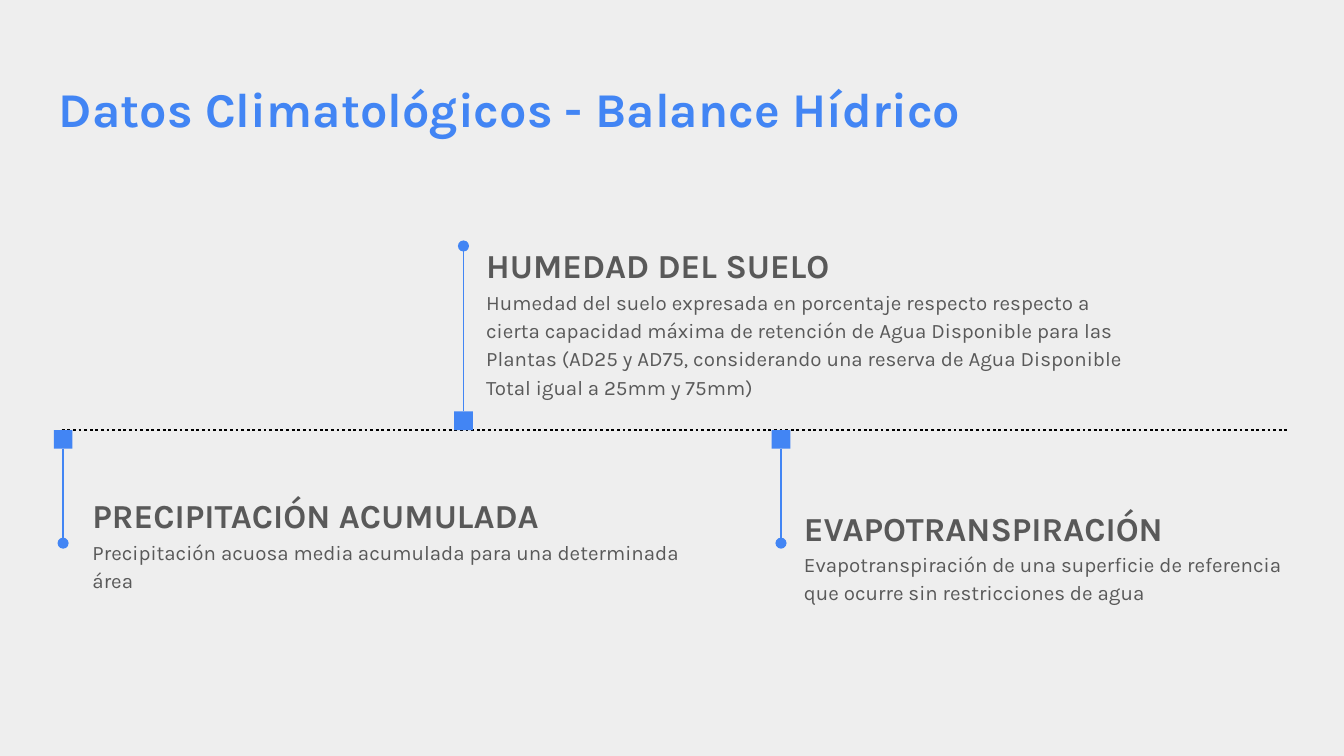
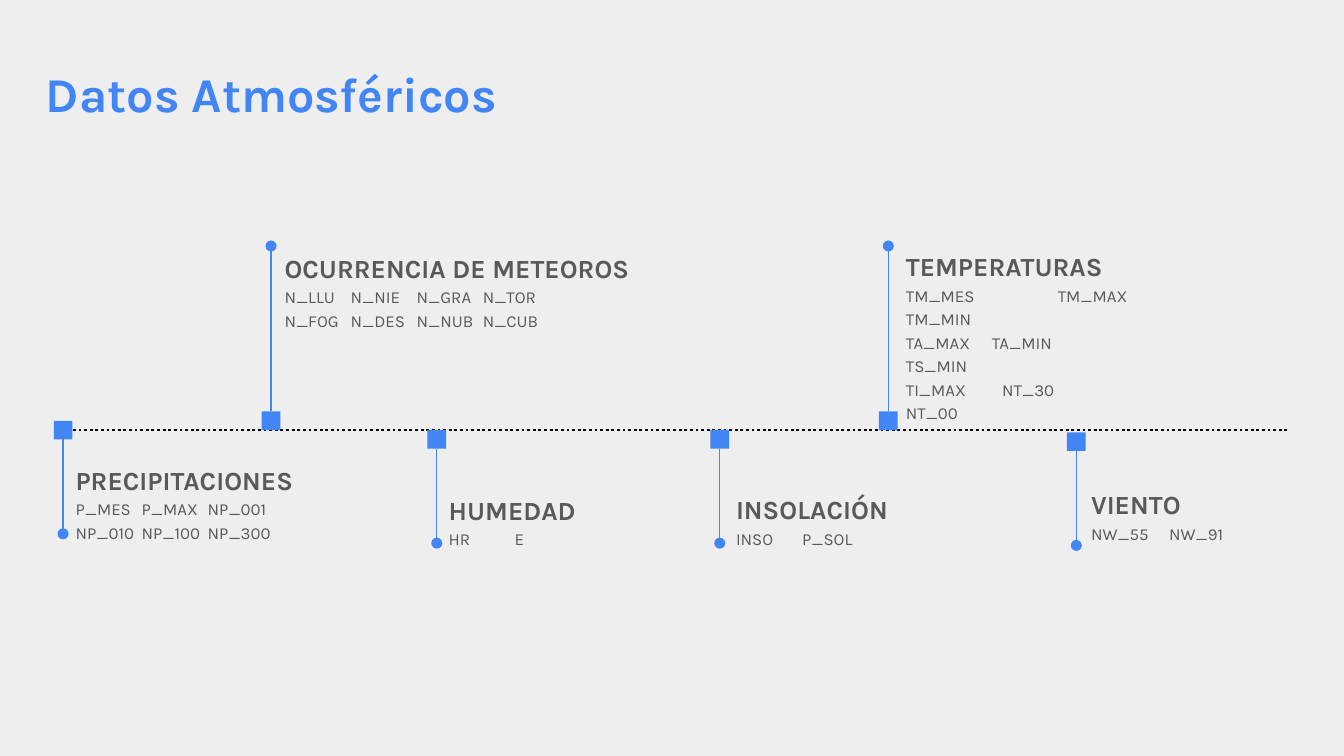
import pptx
import pptx.dml.color
import pptx.enum.dml
import pptx.enum.shapes
import pptx.enum.text
import pptx.oxml.ns
import pptx.util
from lxml import etree

Pt = pptx.util.Pt
FONT = "Karla"
BLUE, GREY, BLACK, BACKGROUND = "4285F4", "595959", "000000", "EEEEEE"
AXIS_Y = 230.4
AXIS_LEFT, AXIS_RIGHT = 33.1, 689.8
SQUARE = 10
STEM_DOWN, STEM_UP = 50.6, 88.6
TAB_STEP = 35.4
TABS = [TAB_STEP * step for step in range(1, 8)]


def color(hex_value):
    return pptx.dml.color.RGBColor.from_string(hex_value)


def add_text(page, frame, paragraphs, margins, spacing):
    """Each paragraph is (text, size, colour, bold, tab stops)."""
    box = page.shapes.add_textbox(*[Pt(length) for length in frame])
    text = box.text_frame
    text.word_wrap = True
    text.vertical_anchor = pptx.enum.text.MSO_ANCHOR.TOP
    text.margin_left = text.margin_right = Pt(margins[0])
    text.margin_top = text.margin_bottom = Pt(margins[1])
    for index, (words, size, ink, bold, stops) in enumerate(paragraphs):
        para = text.add_paragraph() if index else text.paragraphs[0]
        para.line_spacing = spacing
        para.space_before = para.space_after = Pt(0.1)
        if "\t" in words:
            tab_list = etree.SubElement(para._p.get_or_add_pPr(), pptx.oxml.ns.qn("a:tabLst"))
            for stop in stops:
                etree.SubElement(tab_list, pptx.oxml.ns.qn("a:tab"), pos=str(Pt(stop)), algn="l")
        span = para.add_run()
        span.text = words
        span.font.name = FONT
        span.font.size = Pt(size)
        span.font.bold = bold
        span.font.color.rgb = color(ink)


# Title: words, height, margins, line spacing
# Marker: centre, top of square, direction
# Label: left, top, width, height, heading, lines (words, tab stops)
slides = [
    {
        "title": ("Datos Climatológicos - Balance Hídrico", 45.4, (7.2, 7.2), 1.0),
        "sizes": (18, 11),
        "markers": [(33.8, AXIS_Y, "down"), (248.3, AXIS_Y - SQUARE, "up"), (418.4, AXIS_Y, "down")],
        "labels": [
            (42.5, 254.9, 329, 95, "PRECIPITACIÓN ACUMULADA", [
                ("Precipitación acuosa media acumulada para una determinada área", TABS)]),
            (253.4, 121, 357.8, 121.7, "HUMEDAD DEL SUELO", [
                ("Humedad del suelo expresada en porcentaje respecto respecto a cierta capacidad "
                 "máxima de retención de Agua Disponible para las Plantas (AD25 y AD75, considerando "
                 "una reserva de Agua Disponible Total igual a 25mm y 75mm)", TABS)]),
            (423.6, 261.4, 272.2, 95, "EVAPOTRANSPIRACIÓN", [
                ("Evapotranspiración de una superficie de referencia que ocurre sin restricciones "
                 "de agua", TABS)]),
        ],
    },
    {
        "title": ("Datos Atmosféricos", 30.2, (0, 0.7), 0.97),
        "sizes": (14, 9),
        "markers": [
            (33.8, AXIS_Y - SQUARE / 2, "down"), (145.2, AXIS_Y - SQUARE, "up"),
            (234, AXIS_Y, "down"), (385.6, AXIS_Y, "down"),
            (475.9, AXIS_Y - SQUARE, "up"), (576.6, AXIS_Y + 1.2, "down"),
        ],
        "labels": [
            (33.4, 239, 209.5, 60.5, "PRECIPITACIONES", [
                ("P_MES\tP_MAX\tNP_001", TABS), ("NP_010\tNP_100\tNP_300", TABS)]),
            (145.4, 125.3, 205.9, 60.5, "OCURRENCIA DE METEOROS", [
                ("N_LLU\tN_NIE\tN_GRA\tN_TOR", TABS), ("N_FOG\tN_DES\tN_NUB\tN_CUB", TABS)]),
            (233.3, 254.9, 84.2, 51.1, "HUMEDAD", [("HR\tE", TABS)]),
            (387.2, 254.9, 121, 40.3, "INSOLACIÓN", [("INSO\tP_SOL", TABS)]),
            # The last stop is near the margin, so the third code wraps
            (478.2, 124.6, 142.6, 65.5, "TEMPERATURAS", [
                ("TM_MES\tTM_MAX\tTM_MIN", [81.4, 124]),
                ("TA_MAX\tTA_MIN\tTS_MIN", [46, 124]),
                ("TI_MAX\tNT_30\tNT_00", [51.6, 124])]),
            (577.4, 252, 90, 45.4, "VIENTO", [("NW_55\tNW_91", [41.8])]),
        ],
    },
]

deck = pptx.Presentation()
deck.slide_width, deck.slide_height = Pt(720), Pt(405)
straight = pptx.enum.shapes.MSO_CONNECTOR.STRAIGHT

for content in slides:
    page = deck.slides.add_slide(deck.slide_layouts[6])
    page.background.fill.solid()
    page.background.fill.fore_color.rgb = color(BACKGROUND)

    # Dotted axis
    axis = page.shapes.add_connector(straight, Pt(AXIS_LEFT), Pt(AXIS_Y), Pt(AXIS_RIGHT), Pt(AXIS_Y))
    axis.line.color.rgb = color(BLACK)
    axis.line.width = Pt(1.5)
    axis.line.dash_style = pptx.enum.dml.MSO_LINE.ROUND_DOT
    etree.SubElement(axis._element.spPr, pptx.oxml.ns.qn("a:effectLst"))

    # Title
    words, height, margins, spacing = content["title"]
    add_text(page, (24.5, 35.3, 671, height), [(words, 26, BLUE, True, TABS)], margins, spacing)

    # Markers: a square on the axis and a stem with a round end
    for center, top, direction in content["markers"]:
        marker = page.shapes.add_group_shape()
        square = marker.shapes.add_shape(
            pptx.enum.shapes.MSO_SHAPE.RECTANGLE, Pt(center - SQUARE / 2), Pt(top), Pt(SQUARE), Pt(SQUARE))
        square.shadow.inherit = False
        square.fill.solid()
        square.fill.fore_color.rgb = color(BLUE)
        square.line.fill.background()
        start = top + SQUARE if direction == "down" else top
        end = start + STEM_DOWN if direction == "down" else start - STEM_UP
        stem = marker.shapes.add_connector(straight, Pt(center), Pt(start), Pt(center), Pt(end))
        stem.line.color.rgb = color(BLUE)
        stem.line.width = Pt(0.75)
        etree.SubElement(stem.line._get_or_add_ln(), pptx.oxml.ns.qn("a:tailEnd"), type="oval")
        etree.SubElement(stem._element.spPr, pptx.oxml.ns.qn("a:effectLst"))

    # Labels
    heading_size, body_size = content["sizes"]
    for left, top, width, height, heading, lines in content["labels"]:
        paragraphs = [(heading, heading_size, GREY, True, TABS)]
        paragraphs += [(line, body_size, GREY, False, stops) for line, stops in lines]
        add_text(page, (left, top, width, height), paragraphs, (7.2, 7.2), 1.15)

deck.save("out.pptx")
